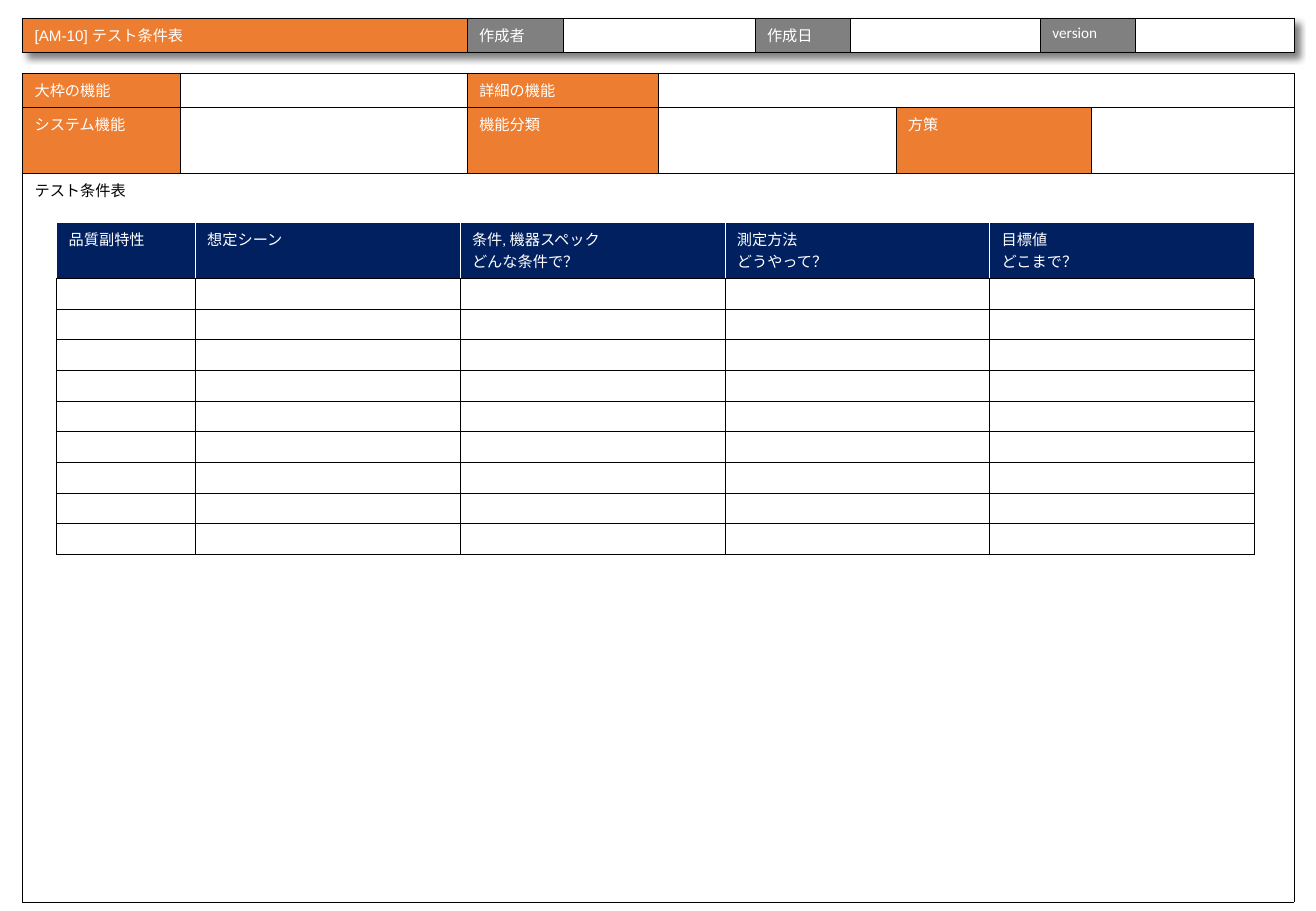
import pptx
import pptx.dml.color
import pptx.oxml
import pptx.oxml.ns
import pptx.util
from lxml import etree

Pt = pptx.util.Pt
qn = pptx.oxml.ns.qn
C = {"orange": "ED7D31", "gray": "808080", "navy": "002060",
     "white": "FFFFFF", "black": "000000"}
SIZE = 9
BLANK = ("", "white")


def rgb(name):
    return pptx.dml.color.RGBColor.from_string(C[name])


def add_borders(cell, colors):
    tcPr = cell._tc.get_or_add_tcPr()
    for side, color in zip("LRTB", colors):
        ln = etree.SubElement(tcPr, qn(f"a:ln{side}"), w=str(Pt(0.25)))
        fill = etree.SubElement(ln, qn("a:solidFill"))
        etree.SubElement(fill, qn("a:srgbClr"), val=C[color])


def write_cell(cell, text, fill, color="white", font="Calibri"):
    add_borders(cell, ["white"] * 3 + ["black"] if fill == "navy" else ["black"] * 4)
    if fill:
        cell.fill.solid()
        cell.fill.fore_color.rgb = rgb(fill)
    else:
        cell.fill.background()
    tf = cell.text_frame
    for i, line in enumerate(text.split("\n")):
        p = tf.add_paragraph() if i else tf.paragraphs[0]
        if line:
            r = p.add_run()
            r.text = line
            r.font.size = Pt(SIZE)
            r.font.name = font
            r.font.color.rgb = rgb(color)
        else:
            end = etree.SubElement(p._p, qn("a:endParaRPr"), sz=str(SIZE * 100))
            etree.SubElement(end, qn("a:latin"), typeface=font)


def add_grid(s, left, top, widths, heights, rows):
    frame = s.shapes.add_table(len(heights), len(widths), Pt(left), Pt(top),
                               Pt(sum(widths)), Pt(sum(heights)))
    tbl = frame.table
    tbl.first_row = tbl.horz_banding = False
    for col, width in zip(tbl.columns, widths):
        col.width = Pt(width)
    for row, height, cells in zip(tbl.rows, heights, rows):
        row.height = Pt(height)
        for cell, content in zip(row.cells, cells):
            write_cell(cell, *content)
    return tbl


def add_shadow(tbl):
    tblPr = tbl._tbl.tblPr
    tblPr.insert(0, pptx.oxml.parse_xml(
        '<a:effectLst xmlns:a="http://schemas.openxmlformats.org/drawingml/2006/main">'
        f'<a:outerShdw blurRad="{Pt(4)}" dist="{Pt(4)}" dir="2700000" algn="tl" rotWithShape="0">'
        f'<a:srgbClr val="{C["black"]}"><a:alpha val="50000"/></a:srgbClr>'
        '</a:outerShdw></a:effectLst>'))


def add_title_bar(s):
    cells = [("[AM-10] テスト条件表", "orange", "white", "Arial")]
    for label in ["作成者", "作成日", "version"]:
        cells += [(label, "gray"), BLANK]
    tbl = add_grid(s, 13.3, 10.8, [263.5, 56.9, 113.8, 56.2, 113, 56.2, 94.2],
                   [20.2], [cells])
    add_shadow(tbl)


def add_function_frame(s):
    rows = [
        [("大枠の機能", "orange"), ("", None), ("詳細の機能", "orange")] + [BLANK] * 3,
        [("システム機能", "orange"), BLANK, ("機能分類", "orange"), BLANK,
         ("方策", "orange"), BLANK],
        [("テスト条件表", "white", "black")] + [BLANK] * 5,
    ]
    tbl = add_grid(s, 13.3, 43.3, [93.6, 170, 113, 141.1, 115.9, 120.2],
                   [20.2, 39, 432], rows)
    tbl.cell(0, 3).merge(tbl.cell(0, 5))
    tbl.cell(2, 0).merge(tbl.cell(2, 5))


def add_conditions(s):
    heads = ["品質副特性", "想定シーン", "条件, 機器スペック\nどんな条件で？",
             "測定方法\nどうやって？", "目標値\nどこまで？"]
    body_rows = 9
    rows = [[(head, "navy") for head in heads]] + [[BLANK] * len(heads)] * body_rows
    add_grid(s, 33.5, 131.4, [82.1] + [157] * 4, [33.2] + [18.2] * body_rows, rows)


def main():
    prs = pptx.Presentation()
    prs.slide_width, prs.slide_height = Pt(780), Pt(540)
    s = prs.slides.add_slide(prs.slide_layouts[6])
    add_title_bar(s)
    add_function_frame(s)
    add_conditions(s)
    prs.save("out.pptx")


if __name__ == "__main__":
    main()
